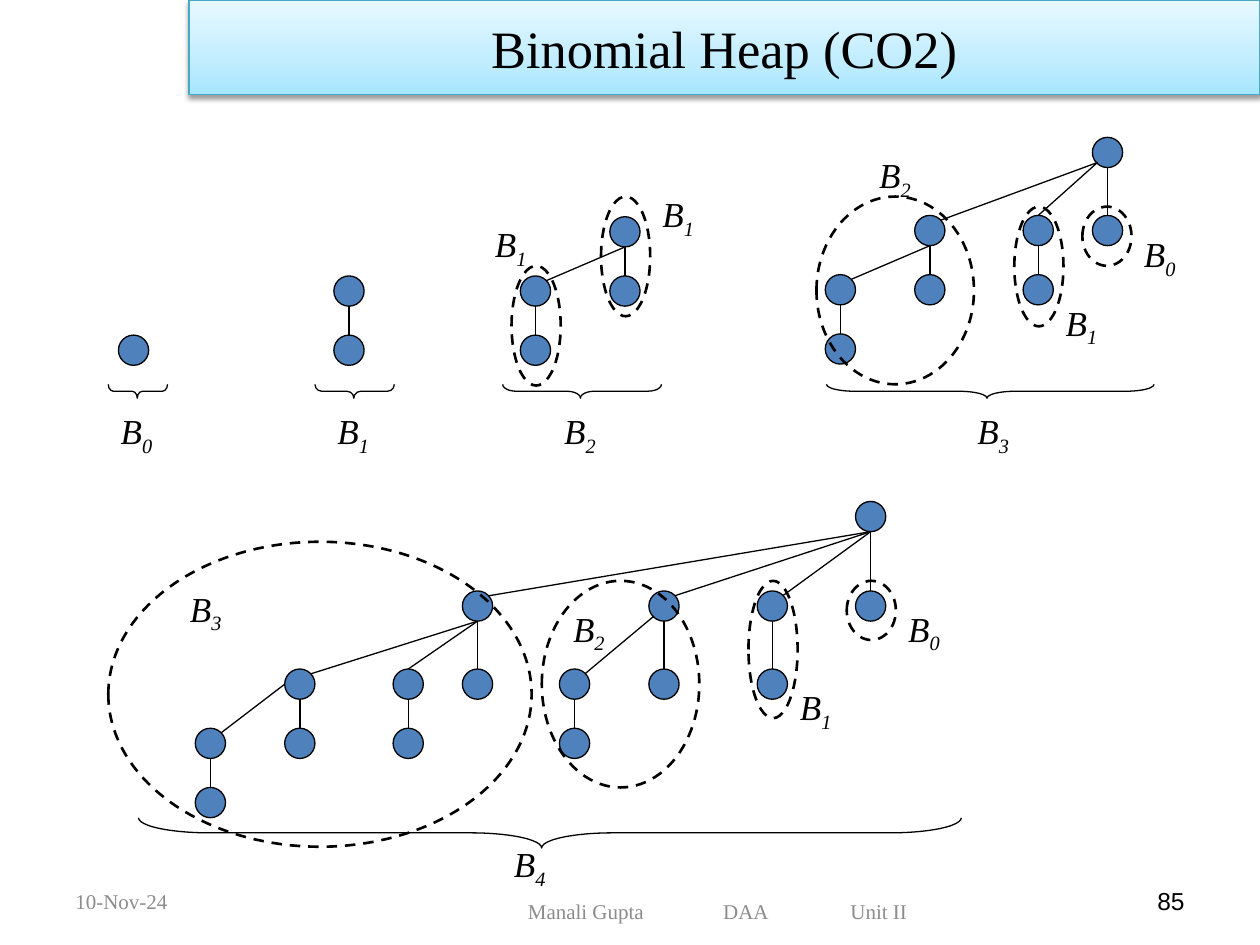
from dataclasses import dataclass

from lxml.etree import SubElement
from pptx import Presentation
from pptx.dml.color import RGBColor
from pptx.enum.dml import MSO_LINE_DASH_STYLE as Dash
from pptx.enum.shapes import MSO_CONNECTOR as Link, MSO_SHAPE as Shape
from pptx.enum.text import MSO_ANCHOR as Anchor, PP_ALIGN as Align
from pptx.oxml import parse_xml
from pptx.oxml.ns import nsdecls, qn
from pptx.util import Inches, Pt


@dataclass(frozen=True)
class Theme:
    ink: str = "000000"
    node: str = "4F81BD"
    edge: str = "46AAC5"
    gray: str = "8C8C8C"
    grad: tuple = ((0, "A7E6FF"), (35, "C1EDFF"), (100, "E7F8FF"))
    serif: str = "Times New Roman"
    sans: str = "Arial"
    title: int = 30
    label: int = 20
    page: int = 14
    foot: int = 12
    thin: float = 0.75
    bold: float = 1.5


@dataclass(frozen=True)
class Kid:
    """A child: offset from its parent, its own children, and its edge's ends."""
    dx: float
    dy: float
    kids: tuple = ()
    start: tuple = (0, 0.12)
    end: tuple = (0.08, -0.08)


T = Theme()
SIZE = 0.24
STEP = 0.47
DROP = 0.62
BOTTOM, TOP, LEFT, LOW = (0, 0.12), (0, -0.12), (-0.12, 0), (-0.08, 0.08)


def leaf(dy=STEP):
    return Kid(0, dy, end=TOP)


def two(start=BOTTOM, dy=STEP):
    """Children of a B2 root."""
    return Kid(-0.71, dy, (leaf(),), start), leaf(dy)


def three(start=BOTTOM, inner=BOTTOM):
    """Children of a B3 root."""
    return (Kid(-1.41, DROP, two(inner), start),
            Kid(-0.55, DROP, (leaf(),), start, TOP), leaf(DROP))


def four():
    """Children of a B4 root."""
    return (Kid(-3.12, 0.71, three(inner=LEFT)),
            Kid(-1.64, 0.71, two(LOW, DROP)),
            Kid(-0.78, 0.71, (leaf(DROP),)), leaf(0.71))


def color(code):
    return RGBColor.from_string(code)


def write(frame, text, size=T.label, font=T.serif, ink=T.ink, italic=False,
          sub="", align=Align.LEFT, anchor=Anchor.TOP, wrap=True, tabs=()):
    frame.word_wrap = wrap
    frame.vertical_anchor = anchor
    para = frame.paragraphs[0]
    para.alignment = align
    if tabs:
        stops = SubElement(para._p.get_or_add_pPr(), qn("a:tabLst"))
        for pos in tabs:
            SubElement(stops, qn("a:tab"), pos=str(Inches(pos)), algn="l")
    for part in filter(None, (text, sub)):
        run = para.add_run()
        run.text = part
        run.font.size, run.font.name = Pt(size), font
        run.font.italic = italic
        run.font.color.rgb = color(ink)
        if part is sub:
            run._r.get_or_add_rPr().set("baseline", "-25000")


def label(slide, x, y, sub):
    box = slide.shapes.add_textbox(*map(Inches, (x, y, 0.47, 0.44)))
    write(box.text_frame, "B", sub=sub, italic=True, wrap=False)


def draw(slide, kind, box, fill=None, line=T.ink, width=T.thin):
    shape = slide.shapes.add_shape(kind, *map(Inches, box))
    shape.shadow.inherit = False
    if fill:
        shape.fill.solid()
        shape.fill.fore_color.rgb = color(fill)
    else:
        shape.fill.background()
    shape.line.color.rgb = color(line)
    shape.line.width = Pt(width)
    return shape


def ring(slide, box):
    draw(slide, Shape.OVAL, box, width=T.bold).line.dash_style = Dash.DASH


def brace(slide, x, y, span, high):
    """A brace that opens upward over the span."""
    box = (x + (span - high) / 2, y + (high - span) / 2, high, span)
    shape = draw(slide, Shape.LEFT_BRACE, box)
    shape.rotation = 270
    shape.adjustments[0] = span / high / 11.6
    shape.adjustments[1] = 0.49


def join(slide, x1, y1, x2, y2):
    line = slide.shapes.add_connector(
        Link.STRAIGHT, *map(Inches, (x1, y1, x2, y2)))
    line.line.color.rgb = color(T.ink)
    line.line.width = Pt(T.thin)
    SubElement(line._element.spPr, qn("a:effectLst"))


def tree(slide, x, y, kids):
    """Draw a node centred at x, y and everything below it."""
    draw(slide, Shape.OVAL, (x - SIZE / 2, y - SIZE / 2, SIZE, SIZE), T.node)
    for kid in kids:
        kx, ky = x + kid.dx, y + kid.dy
        join(slide, x + kid.start[0], y + kid.start[1],
             kx + kid.end[0], ky + kid.end[1])
        tree(slide, kx, ky, kid.kids)


def heap(slide, left, top, root, kids, name, span, rings=(), tags=()):
    """A tree with its brace, rings and labels, all relative to left, top."""
    tree(slide, left + root[0], top + root[1], kids)
    for x, y, wide, high in rings:
        ring(slide, (left + x, top + y, wide, high))
    x, y, wide, high = span
    brace(slide, left + x, top + y, wide, high)
    for sub, x, y in (name, *tags):
        label(slide, left + x, top + y, sub)


def banner(slide, box):
    shape = draw(slide, Shape.RECTANGLE, box, line=T.edge)
    props = shape._element.spPr
    props.remove(props.find(qn("a:noFill")))
    stops = "".join(f'<a:gs pos="{pos * 1000}"><a:srgbClr val="{code}"/></a:gs>'
                    for pos, code in T.grad)
    props.find(qn("a:prstGeom")).addnext(parse_xml(
        f'<a:gradFill {nsdecls("a")} rotWithShape="1"><a:gsLst>{stops}</a:gsLst>'
        '<a:lin ang="16200000" scaled="0"/></a:gradFill>'))
    props.find(qn("a:effectLst")).append(parse_xml(
        f'<a:outerShdw {nsdecls("a")} blurRad="{Pt(3.1)}" dist="{Pt(1.6)}" '
        f'dir="5400000" rotWithShape="0"><a:srgbClr val="{T.ink}">'
        '<a:alpha val="38000"/></a:srgbClr></a:outerShdw>'))
    write(shape.text_frame, "Binomial Heap (CO2)", size=T.title,
          align=Align.CENTER, anchor=Anchor.MIDDLE)


def footer(slide, left, top):
    gray = dict(size=T.foot, ink=T.gray)
    parts = (
        (0, 0, 2.33, 0.1, "10-Nov-24", gray),
        (2.89, 0.08, 4.63, 0.8, "Manali Gupta\tDAA\tUnit II",
         dict(gray, tabs=(1.55, 2.56))),
        (6.67, 0, 2.33, 0.1, "85",
         dict(size=T.page, font=T.sans, align=Align.RIGHT)))
    for x, y, wide, inset, text, look in parts:
        box = slide.shapes.add_textbox(
            *map(Inches, (left + x, top + y, wide, 0.4)))
        box.text_frame.margin_left = Inches(inset)
        write(box.text_frame, text, anchor=Anchor.MIDDLE, **look)


def main():
    deck = Presentation()
    deck.slide_width, deck.slide_height = Inches(10), Inches(7.5)
    slide = deck.slides.add_slide(deck.slide_layouts[6])
    row = 1.09
    heap(slide, 0.86, row, (0.2, 1.69), (), ("0", 0, 2.11),
         (0, 1.96, 0.47, 0.11))
    heap(slide, 2.5, row, (0.27, 1.22), (leaf(),), ("1", 0.08, 2.11),
         (0, 1.96, 0.63, 0.11))
    heap(slide, 3.83, row, (1.13, 0.75), two(), ("2", 0.55, 2.11),
         (0.16, 1.96, 1.26, 0.11),
         rings=((0.94, 0.47, 0.39, 0.95), (0.23, 1.02, 0.39, 0.95)),
         tags=(("1", 0, 0.63), ("1", 1.33, 0.39)))
    heap(slide, 6.48, row, (2.31, 0.12), three(LOW), ("3", 1.18, 2.11),
         (0.08, 1.96, 2.6, 0.11),
         rings=((0, 0.47, 1.25, 1.49), (1.57, 0.55, 0.39, 0.95),
                (2.11, 0.55, 0.39, 0.47)),
         tags=(("2", 0.4, 0.08), ("1", 1.88, 1.25), ("0", 2.5, 0.71)))
    heap(slide, 0.86, 3.98, (6.05, 0.12), four(), ("4", 3.12, 2.66),
         (0.24, 2.51, 6.53, 0.24),
         rings=((0, 0.32, 3.36, 2.42), (3.44, 0.63, 1.25, 1.64),
                (5.08, 0.63, 0.39, 1.09), (5.86, 0.63, 0.39, 0.47)),
         tags=(("3", 0.55, 0.63), ("2", 3.59, 0.79), ("1", 5.39, 1.41),
               ("0", 6.25, 0.79)))
    banner(slide, (1.5, 0, 8.5, 0.75))
    footer(slide, 0.5, 6.95)
    deck.save("out.pptx")


if __name__ == "__main__":
    main()
